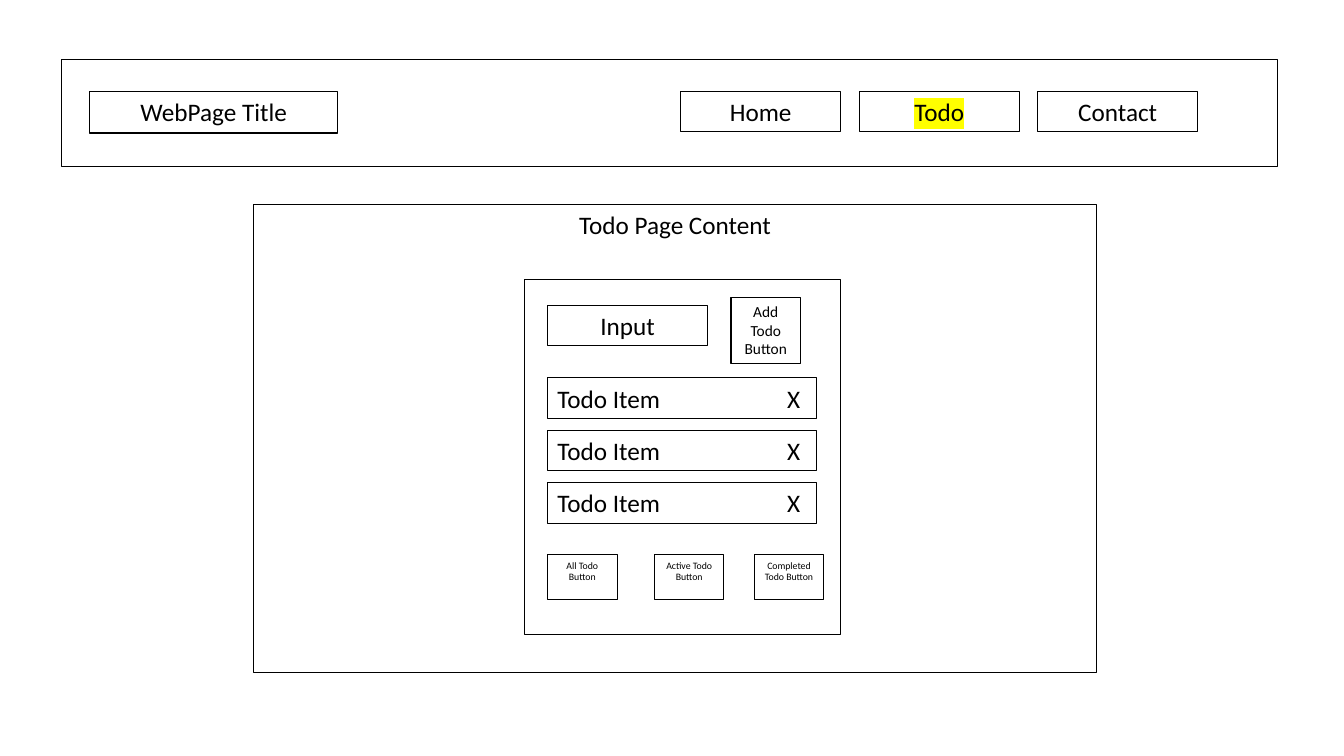
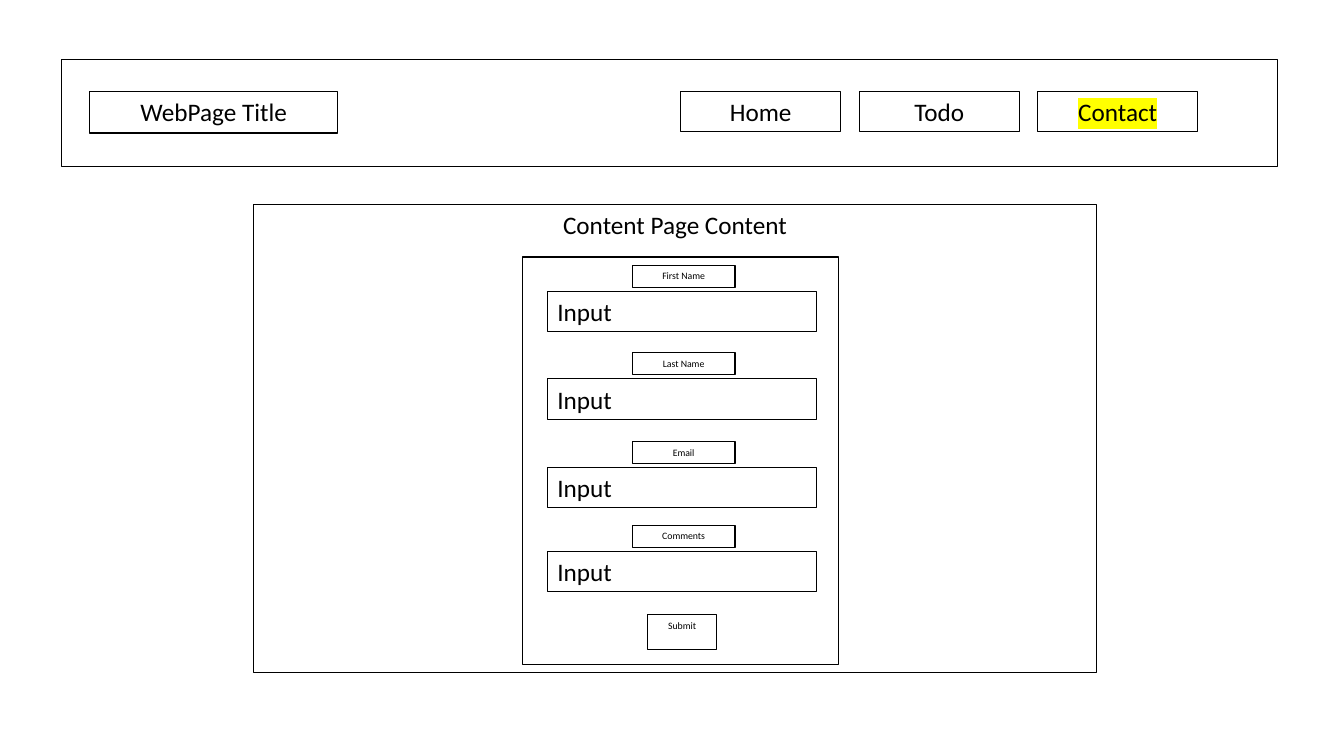
from lxml.etree import SubElement
from pptx import Presentation
from pptx.dml.color import RGBColor
from pptx.enum.shapes import MSO_SHAPE
from pptx.enum.text import MSO_ANCHOR, MSO_AUTO_SIZE, PP_ALIGN
from pptx.oxml.ns import qn
from pptx.util import Emu, Pt

EMU_PER_PX = 9144
COLORS = {"ink": "000000", "active": "FFFF00"}
TITLE_ONLY = 5


def px(length):
    """Turn a length in px into EMU."""
    return Emu(length * EMU_PER_PX)


class Wireframe:
    """Hold the wireframe style, the deck and the current page."""

    font = "Calibri"
    ink = RGBColor.from_string(COLORS["ink"])
    large, medium, small = 18, 11, 7

    def __init__(self):
        """Start a widescreen deck."""
        self.deck = Presentation()
        self.deck.slide_width, self.deck.slide_height = px(1333), px(750)
        self.page = None

    def add_page(self, heading, active):
        """Add a page with the shared header and a titled content area."""
        self.page = self.deck.slides.add_slide(self.deck.slide_layouts[TITLE_ONLY])
        title = self.page.shapes.title
        title.left, title.top, title.width, title.height = map(px, (251, 203, 837, 464))
        self.outline(title)
        self.label(title, heading)
        self.header(active)

    def header(self, active):
        """Draw the site header and highlight the active link."""
        self.box(61, 59, 1206, 106)
        self.box(89, 91, 246, 41, "WebPage Title")
        for index, name in enumerate(("Home", "Todo", "Contact")):
            link = self.box(675 + 177 * index, 91, 159, 40, name)
            if name == active:
                self.highlight(link)

    def outline(self, shape):
        """Give a shape a thin outline and no fill."""
        shape.fill.background()
        shape.line.color.rgb = self.ink
        shape.line.width = Pt(0.75)

    def label(self, shape, text, size=large, align=PP_ALIGN.CENTER):
        """Set one paragraph at the top of a shape."""
        frame = shape.text_frame
        frame.word_wrap = True
        frame.auto_size = MSO_AUTO_SIZE.NONE
        frame.vertical_anchor = MSO_ANCHOR.TOP
        frame.text = text
        para = frame.paragraphs[0]
        para.alignment = align
        para.font.name = self.font
        para.font.size = Pt(size)
        para.font.color.rgb = self.ink

    def box(self, left, top, width, height, text="", size=large, align=PP_ALIGN.CENTER):
        """Draw an outlined box, with text if there is any."""
        box = self.page.shapes.add_shape(
            MSO_SHAPE.RECTANGLE, px(left), px(top), px(width), px(height))
        box.shadow.inherit = False
        self.outline(box)
        if text:
            self.label(box, text, size, align)
        return box

    def field(self, top, text):
        """Draw a wide box with text at the left."""
        return self.box(543, top, 267, 40, text, align=PP_ALIGN.LEFT)

    def todo_item(self, top):
        """Draw a todo row with its delete mark at a tab stop."""
        row = self.field(top, "Todo Item\tX")
        properties = row.text_frame.paragraphs[0]._p.get_or_add_pPr()
        tabs = SubElement(properties, qn("a:tabLst"))
        SubElement(tabs, qn("a:tab"), pos=str(px(228)), algn="l")
        properties.insert(0, tabs)

    def highlight(self, shape):
        """Mark the text of a shape with the active colour."""
        span = shape.text_frame.paragraphs[0].runs[0]
        mark = SubElement(span._r.get_or_add_rPr(), qn("a:highlight"))
        SubElement(mark, qn("a:srgbClr"), val=COLORS["active"])


def todo_page(wireframe):
    """Build the todo list page."""
    wireframe.add_page("Todo Page Content", "Todo")
    wireframe.box(520, 277, 314, 353)
    wireframe.box(543, 303, 159, 40, "Input")
    wireframe.box(725, 295, 69, 66, "Add Todo Button", wireframe.medium)
    for index in range(3):
        wireframe.todo_item(375 + 52 * index)
    for left, name in ((543, "All"), (649, "Active"), (748, "Completed")):
        wireframe.box(left, 550, 69, 45, f"{name} Todo Button", wireframe.small)


def contact_page(wireframe):
    """Build the contact form page."""
    wireframe.add_page("Content Page Content", "Contact")
    wireframe.box(518, 255, 314, 404)
    labels = ((263, "First Name"), (350, "Last Name"), (438, "Email"), (521, "Comments"))
    for top, label in labels:
        wireframe.box(627, top, 102, 22, label, wireframe.small)
        wireframe.field(top + 26, "Input")
    wireframe.box(642, 610, 69, 34, "Submit", wireframe.small)


def main():
    """Build and save the deck."""
    wireframe = Wireframe()
    todo_page(wireframe)
    contact_page(wireframe)
    wireframe.deck.save("out.pptx")


if __name__ == "__main__":
    main()
